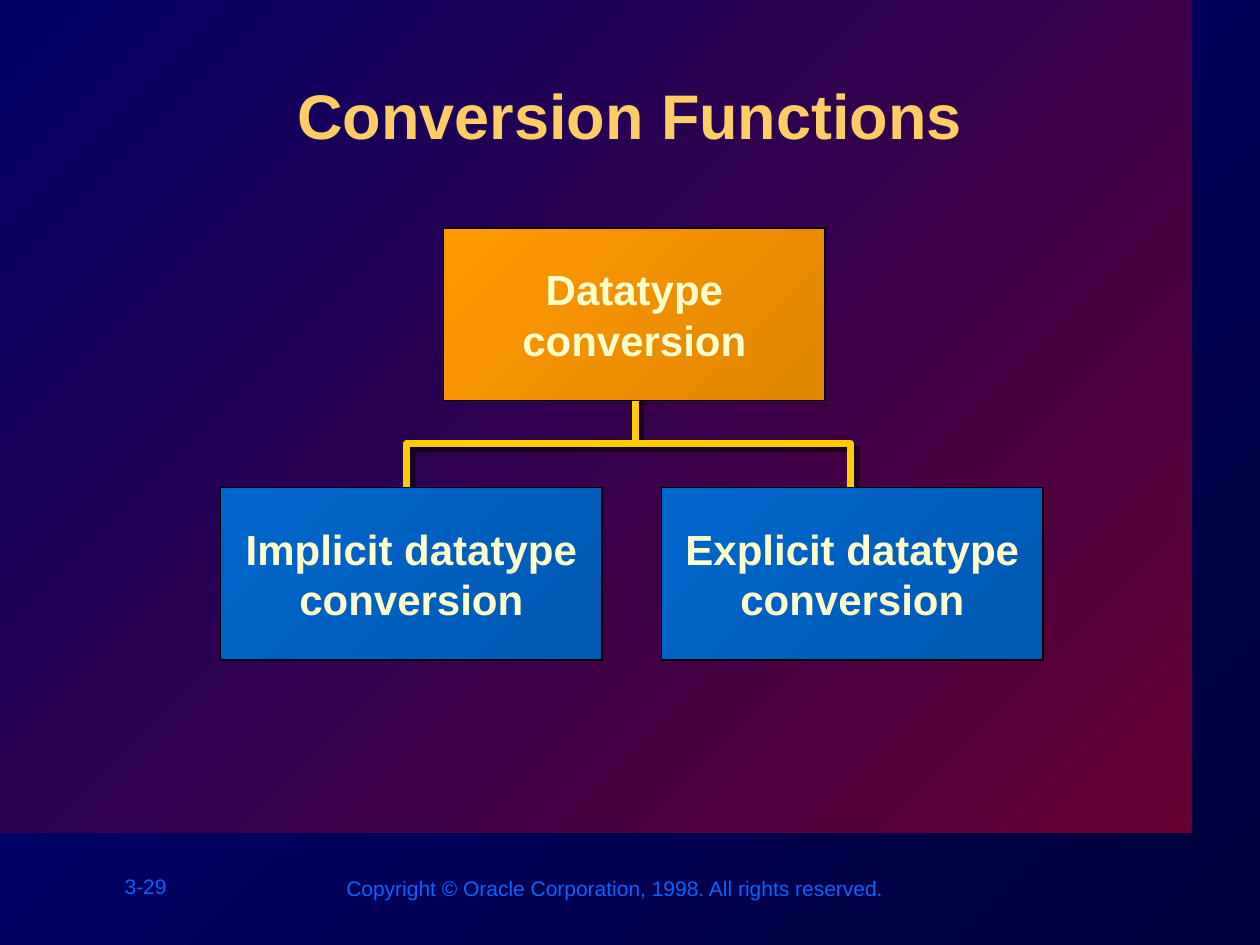
import pptx
import pptx.util
import pptx.dml.color
import pptx.enum.shapes
import pptx.enum.text
import pptx.oxml
import pptx.oxml.ns

RGB = pptx.dml.color.RGBColor
NAVY, MIDNIGHT = RGB(0, 0, 0x80), RGB(0, 0, 0x3A)
INDIGO, WINE = RGB(0, 0, 0x66), RGB(0x66, 0, 0x33)
ORANGE, DARK_ORANGE = RGB(0xFF, 0x99, 0), RGB(0xE0, 0x86, 0)
BLUE, DARK_BLUE = RGB(0, 0x66, 0xCC), RGB(0, 0x59, 0xB3)
GOLD, SAND = RGB(0xFF, 0xCC, 0), RGB(0xFF, 0xCC, 0x66)
CREAM, FOOTER_BLUE = RGB(0xFF, 0xFF, 0xCC), RGB(0, 0x66, 0xFF)
BLACK = RGB(0, 0, 0)

WIDTH, HEIGHT = pptx.util.Inches(10), pptx.util.Inches(7.5)
CENTER = pptx.enum.text.PP_ALIGN.CENTER
TITLE_FONT = {"name": "Arial", "size": pptx.util.Pt(36), "bold": True}
BOX_FONT = {"name": "Arial", "size": pptx.util.Pt(24), "bold": True}
FOOTER_FONT = {"name": "Arial", "size": pptx.util.Pt(12), "bold": False}
SHADOW = (
    '<a:effectLst %s><a:outerShdw dist="53340" dir="2700000" algn="ctr" rotWithShape="0">'
    '<a:srgbClr val="000000"><a:alpha val="50000"/></a:srgbClr>'
    "</a:outerShdw></a:effectLst>" % pptx.oxml.ns.nsdecls("a")
)


def across(percent):
    return round(WIDTH * percent / 100)


def down(percent):
    return round(HEIGHT * percent / 100)


def area(left, top, width, height):
    """Turn percentages of the slide into a box."""
    return across(left), down(top), across(width), down(height)


def shadow():
    return pptx.oxml.parse_xml(SHADOW)


def shade(fill, start, end):
    """Diagonal gradient from top left to bottom right."""
    fill.gradient()
    fill.gradient_angle = 315
    for stop, color, position in zip(fill.gradient_stops, (start, end), (0, 1)):
        stop.color.rgb = color
        stop.position = position


def write(frame, lines, font, color, align=None):
    for number, line in enumerate(lines):
        para = frame.paragraphs[0] if number == 0 else frame.add_paragraph()
        para.alignment = align
        span = para.add_run()
        span.text = line
        for name, value in font.items():
            setattr(span.font, name, value)
        span.font.color.rgb = color


def add_panel(page, box, start, end):
    panel = page.shapes.add_shape(pptx.enum.shapes.MSO_SHAPE.RECTANGLE, *box)
    panel.shadow.inherit = False
    shade(panel.fill, start, end)
    panel.line.fill.background()
    return panel


def add_node(page, box, lines, start, end):
    node = add_panel(page, box, start, end)
    node.line.color.rgb = BLACK
    node.line.width = pptx.util.Pt(1)
    node.text_frame.word_wrap = False
    node.text_frame.vertical_anchor = pptx.enum.text.MSO_ANCHOR.MIDDLE
    write(node.text_frame, lines, BOX_FONT, CREAM, CENTER)


def add_footer(page, box, text):
    footer = page.shapes.add_textbox(*box)
    footer.text_frame.word_wrap = False
    write(footer.text_frame, [text], FOOTER_FONT, FOOTER_BLUE)


def add_title(page, box, text):
    title = page.shapes.title
    title.left, title.top, title.width, title.height = box
    title.text_frame.vertical_anchor = pptx.enum.text.MSO_ANCHOR.TOP
    write(title.text_frame, [text], TITLE_FONT, SAND, CENTER)
    properties = title.text_frame.paragraphs[0].runs[0].font._element
    properties.find(pptx.oxml.ns.qn("a:solidFill")).addnext(shadow())


def add_branches(page, box, stem_x, stem_top):
    """Bracket over the lower boxes with a stem up to the top box."""
    left, top, width, height = box
    stem = page.shapes.add_connector(
        pptx.enum.shapes.MSO_CONNECTOR.STRAIGHT, stem_x, top, stem_x, stem_top)
    outline = page.shapes.build_freeform(left, top + height)
    outline.add_line_segments(
        [(left, top), (left + width, top), (left + width, top + height)], close=False)
    bracket = outline.convert_to_shape()
    bracket.fill.background()
    for branch in (stem, bracket):
        branch.line.color.rgb = GOLD
        branch.line.width = pptx.util.Pt(4)
        branch._element.spPr.append(shadow())


def add_tree(page):
    add_branches(page, area(32.3, 46.93, 35.2, 8), across(50.4), down(38.4))
    nodes = [
        (17.5, 51.6, ["Implicit datatype", "conversion"], BLUE, DARK_BLUE),
        (52.5, 51.6, ["Explicit datatype", "conversion"], BLUE, DARK_BLUE),
        (35.2, 24.13, ["Datatype", "conversion"], ORANGE, DARK_ORANGE),
    ]
    for left, top, lines, start, end in nodes:
        add_node(page, area(left, top, 30.3, 18.27), lines, start, end)


def main():
    deck = pptx.Presentation()
    deck.slide_width, deck.slide_height = WIDTH, HEIGHT
    page = deck.slides.add_slide(deck.slide_layouts[5])

    # Backdrop and footer
    shade(page.background.fill, NAVY, MIDNIGHT)
    panel = add_panel(page, area(0, 0, 94.6, 88.13), INDIGO, WINE)
    page.shapes._spTree.insert(2, panel._element)
    add_footer(page, area(8.9, 91.73, 5.5, 4), "3-29")
    add_footer(page, area(26.5, 92, 44.9, 4),
               "Copyright © Oracle Corporation, 1998. All rights reserved.")

    # Title and tree
    add_title(page, area(10.1, 7.47, 79.8, 12.8), "Conversion Functions")
    add_tree(page)
    deck.save("out.pptx")


if __name__ == "__main__":
    main()
